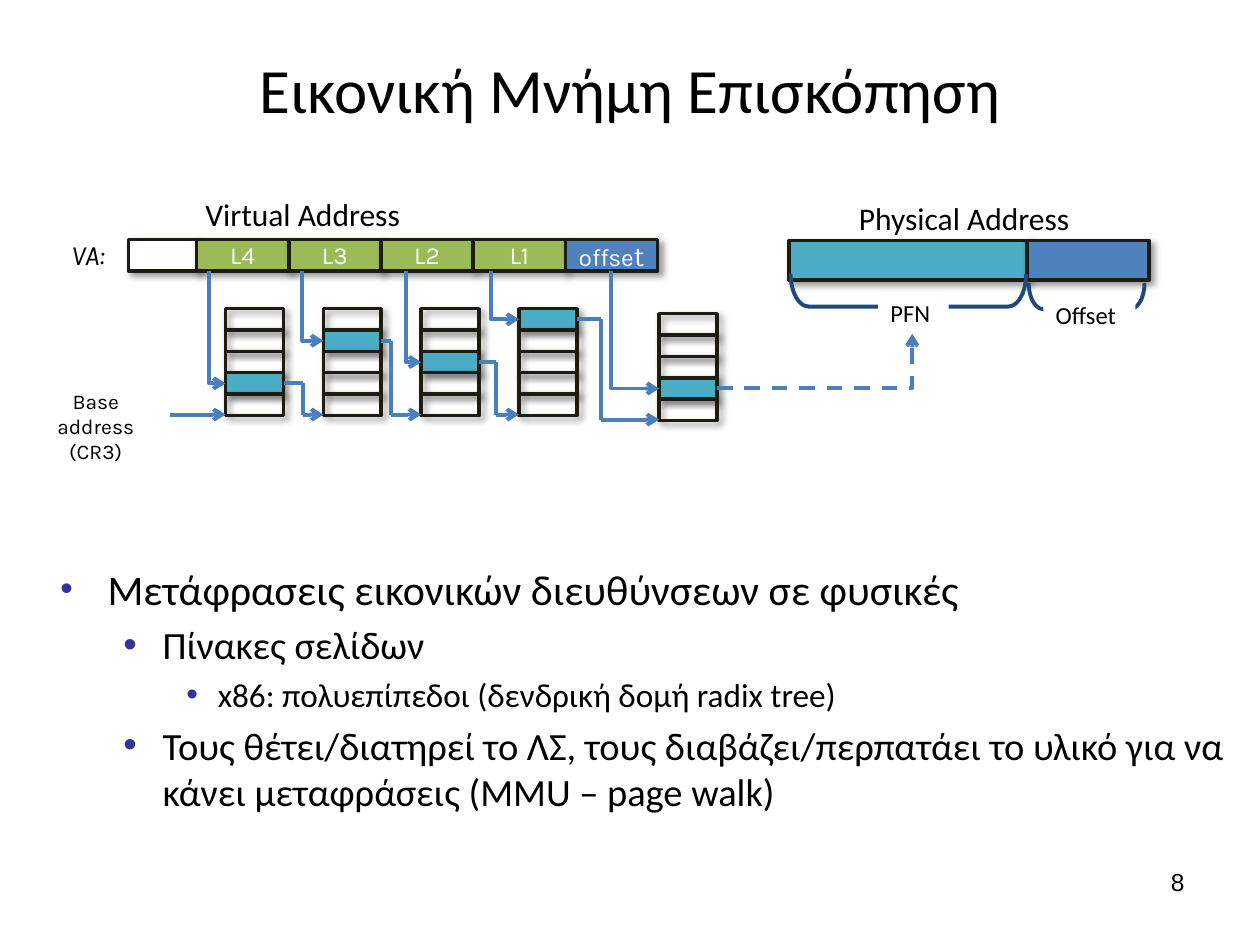
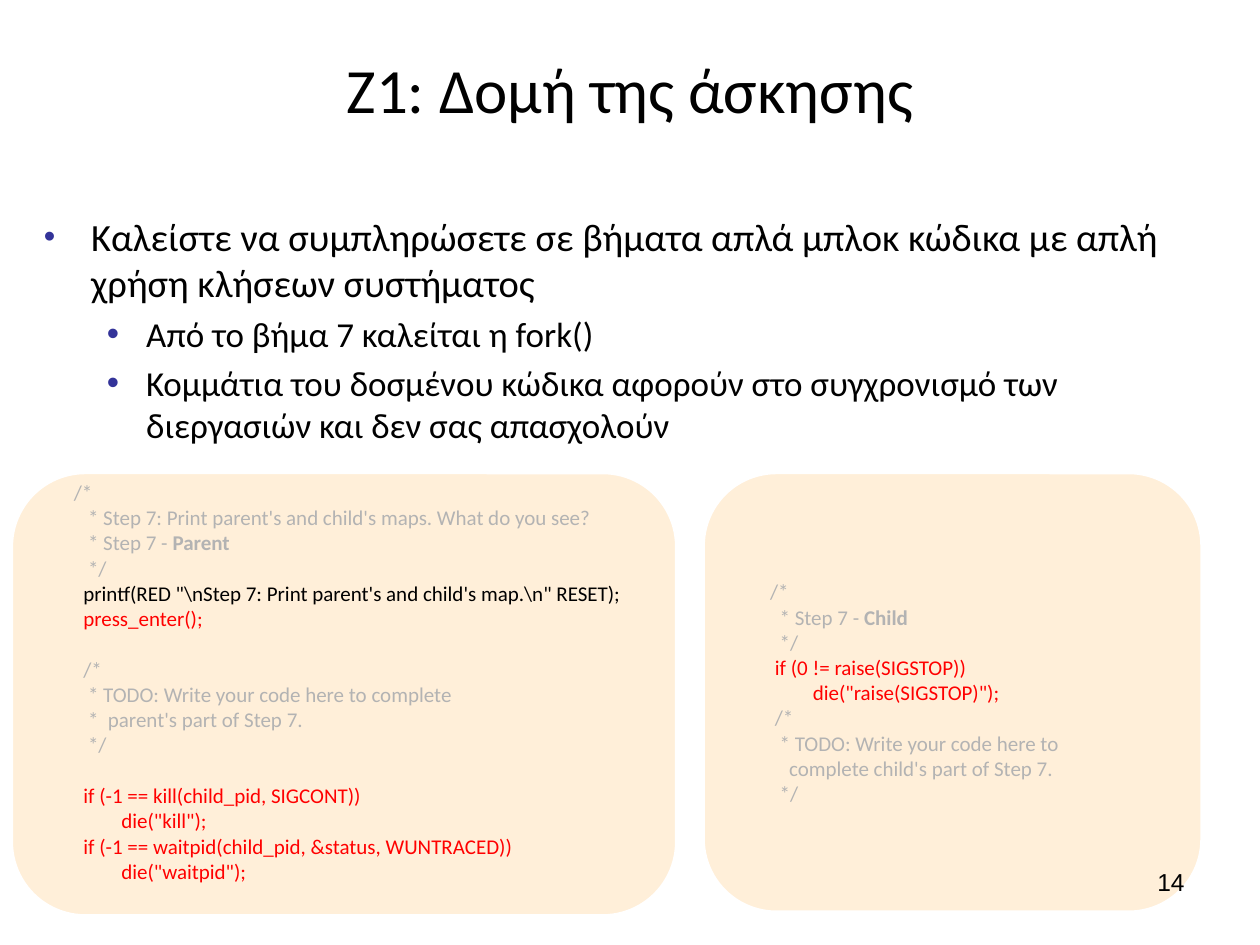
"""Build two slides on virtual memory translation and the structure of exercise Z1."""
from itertools import pairwise

from lxml.etree import SubElement
from pptx import Presentation
from pptx.dml.color import RGBColor
from pptx.enum.dml import MSO_LINE
from pptx.enum.shapes import MSO_CONNECTOR, MSO_SHAPE
from pptx.enum.text import MSO_ANCHOR, PP_ALIGN
from pptx.oxml.ns import qn
from pptx.util import Pt

BLACK = RGBColor(0x00, 0x00, 0x00)
WHITE = RGBColor(0xFF, 0xFF, 0xFF)
INK = RGBColor(0x1E, 0x1C, 0x11)
NAVY = RGBColor(0x1F, 0x49, 0x7D)
BLUE = RGBColor(0x4F, 0x81, 0xBD)
WIRE = RGBColor(0x4B, 0x7E, 0xBC)
TEAL = RGBColor(0x4B, 0xAC, 0xC6)
GREEN = RGBColor(0x9B, 0xBB, 0x59)
CREAM = RGBColor(0xFF, 0xEF, 0xD9)
GREY = RGBColor(0xB3, 0xB3, 0xB3)
RED = RGBColor(0xFF, 0x00, 0x00)

TITLE = {"size": Pt(36), "name": "Calibri"}
HEADING = {"size": Pt(18), "name": "Calibri"}
BRACE_LABEL = {"size": Pt(14), "name": "Calibri"}
CODE = {"size": Pt(12), "name": "Calibri"}
FIELD = {"size": Pt(14), "name": "Karla"}
VA_LABEL = {"size": Pt(16), "name": "Karla", "italic": True}
BASE_LABEL = {"size": Pt(12), "name": "Karla"}
NUMBER = {"size": Pt(14), "name": "Arial"}
INDENTS = [(27, 27), (58.5, 22.5), (90, 18)]
SPACE = 2.71
CODE_LINE = 14.65


def write(p, text, fmt, color=BLACK):
    r = p.add_run()
    r.text = text
    r.font.color.rgb = color
    for key, value in fmt.items():
        setattr(r.font, key, value)
    return r


def wire(s, x1, y1, x2, y2, prst="line", head=True):
    c = s.shapes.add_connector(MSO_CONNECTOR.STRAIGHT, Pt(x1), Pt(y1), Pt(x2), Pt(y2))
    spPr = c.element.spPr
    spPr.find(qn("a:prstGeom")).set("prst", prst)
    c.line.color.rgb = WIRE
    c.line.width = Pt(2.25)
    if head:
        SubElement(c.line._get_or_add_ln(), qn("a:tailEnd"), type="arrow")
    SubElement(spPr, qn("a:effectLst"))
    return c


prs = Presentation()
prs.slide_width, prs.slide_height = Pt(720), Pt(540)

pages = [
    ("Εικονική Μνήμη Επισκόπηση", "8", (27.4, 318.2, 684, 154.8), [
        (0, 24, "Μετάφρασεις εικονικών διευθύνσεων σε φυσικές"),
        (1, 22, "Πίνακες σελίδων"),
        (2, 19, "x86: πολυεπίπεδοι (δενδρική δομή radix tree)"),
        (1, 22, "Τους θέτει/διατηρεί το ΛΣ, τους διαβάζει/περπατάει το υλικό "
                "για να κάνει μεταφράσεις (MMU – page walk)"),
    ]),
    ("Ζ1: Δομή της άσκησης", "14", (18, 118, 684, 400), [
        (0, 22, "Καλείστε να συμπληρώσετε σε βήματα απλά μπλοκ κώδικα με απλή "
                "χρήση κλήσεων συστήματος"),
        (1, 20, "Από το βήμα 7 καλείται η fork()"),
        (1, 20, "Κομμάτια του δοσμένου κώδικα αφορούν στο συγχρονισμό των "
                "διεργασιών και δεν σας απασχολούν"),
    ]),
]

for title, number, body, bullets in pages:
    s = prs.slides.add_slide(prs.slide_layouts[6])
    tf = s.shapes.add_textbox(Pt(36), Pt(21.6), Pt(648), Pt(57.6)).text_frame
    tf.word_wrap = True
    tf.vertical_anchor = MSO_ANCHOR.MIDDLE
    tf.paragraphs[0].alignment = PP_ALIGN.CENTER
    write(tf.paragraphs[0], title, TITLE)

    tf = s.shapes.add_textbox(*map(Pt, body)).text_frame
    tf.word_wrap = True
    for i, (level, size, text) in enumerate(bullets):
        p = tf.add_paragraph() if i else tf.paragraphs[0]
        p.level = level
        p.space_before = Pt(0.2 * size if i else 0)
        left, hang = INDENTS[level]
        pPr = p._p.get_or_add_pPr()
        pPr.set("marL", str(Pt(left)))
        pPr.set("indent", str(-Pt(hang)))
        SubElement(SubElement(pPr, qn("a:buClr")), qn("a:srgbClr"), val="333399")
        SubElement(pPr, qn("a:buSzPct"), val="100000" if level else "85000")
        SubElement(pPr, qn("a:buFont"), typeface="Arial")
        SubElement(pPr, qn("a:buChar"), char="•")
        write(p, text, {"size": Pt(size), "name": "Calibri"})

memory, exercise = prs.slides

FIELD_TOP, FIELD_W, FIELD_H = 136.8, 52.7, 18
CELL_W, CELL_H = 33.1, 12.2
BASE_Y = 236.9
tables = [(128.9 + 55.9 * i, 176.4, hit) for i, hit in enumerate([3, 1, 2, 0])]
tables.append((376.6, 179.3, 3))
drops = [119.5, 172.8, 231.8, 280.8, 349.2]
bends = [173, 223.2, 283.7, 343.4]

cells = [(73.4, FIELD_TOP, 39.4, FIELD_H, WHITE, "")]
for i, name in enumerate(["L4", "L3", "L2", "L1", "offse"]):
    fill = GREEN if name.startswith("L") else BLUE
    cells.append((112.3 + FIELD_W * i, FIELD_TOP, FIELD_W, FIELD_H, fill, name))
for x, y, hit in tables:
    for row in range(5):
        fill = TEAL if row == hit else None
        cells.append((x, y + CELL_H * row, CELL_W, CELL_H, fill, ""))
cells += [(450.7, 137.5, 136.1, 22.6, TEAL, ""), (586.8, 137.5, 69.8, 22.6, BLUE, "")]

for x, y, w, h, fill, name in cells:
    sp = memory.shapes.add_shape(MSO_SHAPE.RECTANGLE, Pt(x), Pt(y), Pt(w), Pt(h))
    if fill is None:
        sp.fill.background()
    else:
        sp.fill.solid()
        sp.fill.fore_color.rgb = fill
    sp.line.color.rgb = INK
    sp.line.width = Pt(2)
    sp.shadow.inherit = False
    shadow = SubElement(sp.element.spPr.find(qn("a:effectLst")), qn("a:outerShdw"),
                        blurRad=str(Pt(4)), dist=str(Pt(3)), dir="2700000", rotWithShape="0")
    SubElement(SubElement(shadow, qn("a:srgbClr"), val="000000"), qn("a:alpha"), val="40000")
    if name:
        tf = sp.text_frame
        tf.vertical_anchor = MSO_ANCHOR.MIDDLE
        p = tf.paragraphs[0]
        p.alignment = PP_ALIGN.CENTER
        write(p, name, FIELD, WHITE)
        if name == "offse":
            write(p, "t", {**FIELD, "size": Pt(16)}, WHITE)

for x, y, w, h in [(509.8, 98.6, 18.7, 134.6), (613.4, 136.1, 15.1, 66.2)]:
    sp = memory.shapes.add_shape(MSO_SHAPE.LEFT_BRACKET, Pt(x), Pt(y), Pt(w), Pt(h))
    sp.adjustments[0] = 0.56
    sp.rotation = 90
    sp.element.spPr.xfrm.set("flipH", "1")
    sp.fill.background()
    sp.line.color.rgb = NAVY
    sp.line.width = Pt(2.25)
    sp.shadow.inherit = False

for box, lines, fmt, align, fill in [
    ((483.8, 110.2, 146.9, 28.8), ["Physical Address"], HEADING, PP_ALIGN.LEFT, None),
    ((110.2, 108, 135.4, 28.8), ["Virtual Address"], HEADING, PP_ALIGN.LEFT, None),
    ((596.2, 167.8, 52.6, 24.5), ["Offset"], BRACE_LABEL, PP_ALIGN.LEFT, WHITE),
    ((501.8, 167, 40.3, 24.5), ["PFN"], BRACE_LABEL, PP_ALIGN.LEFT, WHITE),
    ((33.8, 132.5, 38.9, 26.6), ["VA:"], VA_LABEL, PP_ALIGN.LEFT, None),
    ((12.2, 218.2, 85, 36), ["Base address", "(CR3)"], BASE_LABEL, PP_ALIGN.CENTER, None),
]:
    sp = memory.shapes.add_textbox(*map(Pt, box))
    if fill is not None:
        sp.fill.solid()
        sp.fill.fore_color.rgb = fill
    tf = sp.text_frame
    tf.word_wrap = len(lines) > 1
    for i, line in enumerate(lines):
        p = tf.add_paragraph() if i else tf.paragraphs[0]
        p.alignment = align
        write(p, line, fmt)

field_bottom = FIELD_TOP + FIELD_H
for drop, (x, y, hit) in zip(drops, tables):
    down, across = y + CELL_H * (hit + 0.5) - field_bottom, x - drop
    cx, cy = drop + across / 2, field_bottom + down / 2
    c = wire(memory, cx - down / 2, cy - across / 2, cx + down / 2, cy + across / 2,
             "bentConnector2")
    c.element.spPr.xfrm.set("rot", "16200000")
    c.element.spPr.xfrm.set("flipH", "1")

for bend, ((x, y, hit), (next_x, next_y, _)) in zip(bends, pairwise(tables)):
    mid_y, base = y + CELL_H * (hit + 0.5), BASE_Y + next_y - tables[0][1]
    corners = [(x + CELL_W, mid_y), (bend, mid_y), (bend, base), (next_x, base)]
    for start, end in pairwise(corners):
        wire(memory, *start, *end, head=end == corners[-1])

wire(memory, 97.2, BASE_Y, tables[0][0], BASE_Y)
c = wire(memory, 409.7, 221.8, 521.3, 190.8, "bentConnector2")
c.line.dash_style = MSO_LINE.DASH

parent_code = [
    (6, 0, "/*", GREY),
    (9, 0, "* Step 7: Print parent's and child's maps. What do you see?", GREY),
    (9, 0, "* Step 7 - |Parent", GREY),
    (9, 0, "*/", GREY),
    (8, 0, 'printf(RED "\\nStep 7: Print parent\'s and child\'s map.\\n" RESET);', BLACK),
    (8, 0, "press_enter();", RED),
    (8, 1, "/*", GREY),
    (9, 0, "* TODO: Write your code here to complete", GREY),
    (9, 0, "*  parent's part of Step 7.", GREY),
    (9, 0, "*/", GREY),
    (8, 1, "if (-1 == kill(child_pid, SIGCONT))", RED),
    (16, 0, 'die("kill");', RED),
    (8, 0, "if (-1 == waitpid(child_pid, &status, WUNTRACED))", RED),
    (16, 0, 'die("waitpid");', RED),
]
child_code = [
    (7, 0, "/*", GREY),
    (9, 0, "* Step 7 - |Child", GREY),
    (9, 0, "*/", GREY),
    (8, 0, "if (0 != raise(SIGSTOP))", RED),
    (16, 0, 'die("raise(SIGSTOP)");', RED),
    (8, 0, "/*", GREY),
    (9, 0, "* TODO: Write your code here to", GREY),
    (11, 0, "complete child's part of Step 7.", GREY),
    (9, 0, "*/", GREY),
]
for box, bottom, code in [
    ((6.5, 270, 380.2, 253.4), 18, parent_code),
    ((401.8, 270, 285.1, 251.3), 3.6, child_code),
]:
    sp = exercise.shapes.add_shape(MSO_SHAPE.ROUNDED_RECTANGLE, *map(Pt, box))
    sp.fill.solid()
    sp.fill.fore_color.rgb = CREAM
    sp.line.color.rgb = WHITE
    sp.line.width = Pt(2)
    sp.shadow.inherit = False
    tf = sp.text_frame
    tf.word_wrap = True
    tf.vertical_anchor = MSO_ANCHOR.MIDDLE
    tf.margin_bottom = Pt(bottom)
    for i, (column, gap, text, color) in enumerate(code):
        p = tf.add_paragraph() if i else tf.paragraphs[0]
        p.alignment = PP_ALIGN.LEFT
        p.space_before = Pt(CODE_LINE * gap)
        p._p.get_or_add_pPr().set("marL", str(Pt(SPACE * column)))
        plain, _, strong = text.partition("|")
        write(p, plain, CODE, color)
        if strong:
            write(p, strong, {**CODE, "bold": True}, color)

for s, (_, number, _, _) in zip(prs.slides, pages):
    tf = s.shapes.add_textbox(Pt(516.2), Pt(491.8), Pt(167.8), Pt(37.4)).text_frame
    tf.word_wrap = True
    tf.paragraphs[0].alignment = PP_ALIGN.RIGHT
    write(tf.paragraphs[0], number, NUMBER)

prs.save("out.pptx")
